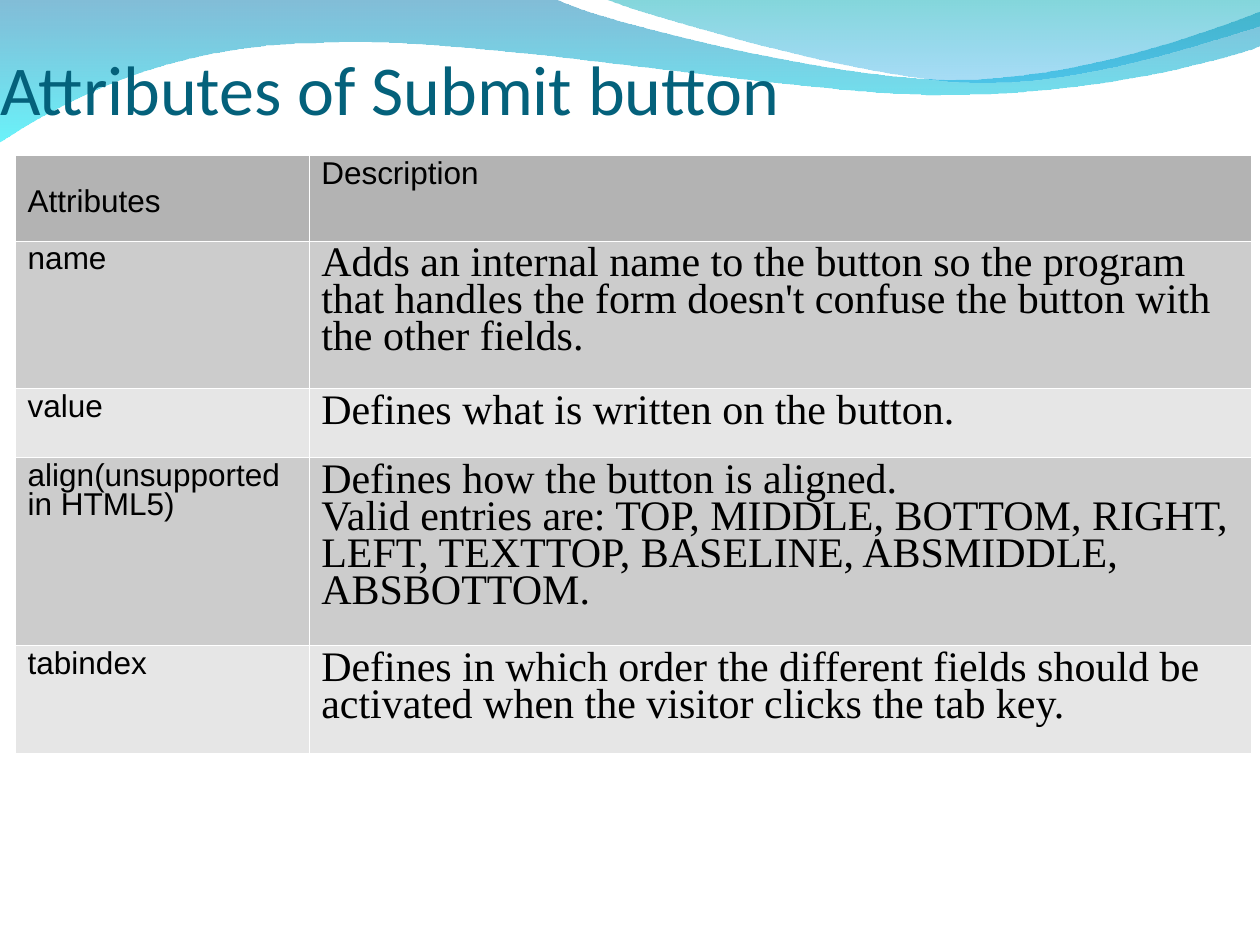
"""Build the slide listing the attributes of a submit button."""
import copy
from dataclasses import dataclass

import lxml.etree
import pptx
import pptx.dml.color
import pptx.enum.text
import pptx.oxml
import pptx.oxml.ns
import pptx.presentation
import pptx.shapes.autoshape
import pptx.slide
import pptx.table
import pptx.text.text
import pptx.util

Inches = pptx.util.Inches
qualified = pptx.oxml.ns.qn
Point = tuple[float, float]


@dataclass(frozen=True)
class TextStyle:
    """Font, size, colour and line spacing of a text."""

    font: str
    size: float
    color: str
    line_spacing: float = 1.0


@dataclass(frozen=True)
class Theme:
    """Colours and type styles of the slide."""

    title: TextStyle = TextStyle("Calibri", 40, "04617B")
    label: TextStyle = TextStyle("Arial", 18, "000000", 0.81)
    description: TextStyle = TextStyle("Times New Roman", 24, "000000", 0.8)
    header_fill: str = "B3B3B3"
    band_fills: tuple[str, str] = ("CCCCCC", "E6E6E6")
    border: str = "FFFFFF"
    border_width: float = 0.06


@dataclass(frozen=True)
class GradientStop:
    """Colour and opacity in percent at one end of a gradient."""

    color: str
    opacity: int


@dataclass(frozen=True)
class Wave:
    """Outline of a wave: one point makes a line, three a Bezier curve."""

    start: Point
    segments: tuple[tuple[Point, ...], ...]
    stops: tuple[GradientStop, GradientStop]


@dataclass(frozen=True)
class AttributeRow:
    """One table row with its height in inches."""

    label: str
    description: str
    height: float


THEME = Theme()
WAVES = (
    Wave(
        (0, -0.01),
        (
            ((4.4, -0.01),),
            ((4.76, 0.17), (6.64, 0.63), (7.58, 0.63)),
            ((8.53, 0.63), (9.58, 0.26), (10, 0.09)),
            ((10.01, 0.36),),
            ((9.83, 0.44), (8.7, 0.76), (7.46, 0.75)),
            ((6.22, 0.75), (3.82, 0.28), (2.57, 0.34)),
            ((1.29, 0.35), (0.46, 0.83), (-0.01, 1.13)),
        ),
        (GradientStop("0079AF", 49), GradientStop("00EBF8", 59)),
    ),
    Wave(
        (4.79, -0.01),
        (
            ((5.09, 0.11), (6.82, 0.62), (7.69, 0.65)),
            ((8.56, 0.69), (9.61, 0.32), (10, 0.21)),
            ((10, 0),),
        ),
        (GradientStop("00ADB6", 49), GradientStop("009BE5", 34)),
    ),
)
COLUMN_WIDTHS = (2.33, 7.48)
ROWS = (
    AttributeRow("\vAttributes", "Description", 0.68),
    AttributeRow(
        "name",
        "Adds an internal name to the button so the program that handles the form "
        "doesn't confuse the button with the other fields.",
        1.17,
    ),
    AttributeRow("value", "Defines what is written on the button.", 0.55),
    AttributeRow(
        "align(unsupported in HTML5)",
        "Defines how the button is aligned.\n"
        "Valid entries are: TOP, MIDDLE, BOTTOM, RIGHT, LEFT, TEXTTOP, BASELINE, "
        "ABSMIDDLE, ABSBOTTOM.",
        1.49,
    ),
    AttributeRow(
        "tabindex",
        "Defines in which order the different fields should be activated when the "
        "visitor clicks the tab key.",
        0.86,
    ),
)


def rgb(color: str) -> pptx.dml.color.RGBColor:
    """Return the colour for a hexadecimal value."""
    return pptx.dml.color.RGBColor.from_string(color)


def set_text(text_frame: pptx.text.text.TextFrame, text: str, style: TextStyle) -> None:
    """Fill a text frame and format its paragraphs and line breaks."""
    text_frame.text = text
    for paragraph in text_frame.paragraphs:
        paragraph.alignment = pptx.enum.text.PP_ALIGN.LEFT
        paragraph.line_spacing = style.line_spacing
        for run in paragraph.runs:
            run.font.name = style.font
            run.font.size = pptx.util.Pt(style.size)
            run.font.bold = False
            run.font.color.rgb = rgb(style.color)
        for line_break in paragraph._p.findall(qualified("a:br")):
            line_break.append(copy.deepcopy(paragraph.runs[0]._r.rPr))


def bend_segments(shape: pptx.shapes.autoshape.Shape, wave: Wave) -> None:
    """Turn the straight stand-ins of curved segments into Bezier curves."""
    lines = list(shape.element.iter(qualified("a:lnTo")))
    for line, segment in zip(lines, wave.segments):
        if len(segment) == 1:
            continue
        curve = lxml.etree.SubElement(line.getparent(), qualified("a:cubicBezTo"))
        for x, y in segment:
            lxml.etree.SubElement(
                curve, qualified("a:pt"),
                x=str(Inches(x) - shape.left), y=str(Inches(y) - shape.top),
            )
        line.getparent().replace(line, curve)


def add_wave(slide: pptx.slide.Slide, wave: Wave) -> None:
    """Draw a wave with a translucent gradient running downwards."""
    start_x, start_y = wave.start
    builder = slide.shapes.build_freeform(Inches(start_x), Inches(start_y))
    ends = [segment[-1] for segment in wave.segments]
    builder.add_line_segments([(Inches(x), Inches(y)) for x, y in ends], close=True)
    shape = builder.convert_to_shape()
    bend_segments(shape, wave)
    shape.shadow.inherit = False
    shape.line.fill.background()
    shape.fill.gradient()
    shape.fill.gradient_angle = 270
    for gradient_stop, stop in zip(shape.fill.gradient_stops, wave.stops):
        gradient_stop.color.rgb = rgb(stop.color)
    colors = shape.element.spPr.find(qualified("a:gradFill")).iter(qualified("a:srgbClr"))
    for color, stop in zip(colors, wave.stops):
        lxml.etree.SubElement(color, qualified("a:alpha"), val=str(stop.opacity * 1000))


def add_title(slide: pptx.slide.Slide, text: str) -> None:
    """Place the title in front of the waves."""
    title = slide.shapes.title
    title.left, title.top = Inches(0), Inches(0.08)
    title.width, title.height = Inches(10), Inches(0.95)
    frame = title.text_frame
    frame.margin_left = frame.margin_right = frame.margin_bottom = 0
    frame.margin_top = Inches(0.05)
    frame.word_wrap = True
    frame.auto_size = pptx.enum.text.MSO_AUTO_SIZE.NONE
    frame.vertical_anchor = pptx.enum.text.MSO_ANCHOR.BOTTOM
    set_text(frame, text, THEME.title)
    title.element.getparent().append(title.element)


def style_cell(cell: pptx.table._Cell, fill: str) -> None:
    """Give a cell its borders and fill."""
    properties = cell._tc.get_or_add_tcPr()
    width = pptx.util.Pt(THEME.border_width)
    for side in ("lnL", "lnR", "lnT", "lnB"):
        properties.append(pptx.oxml.parse_xml(
            f'<a:{side} {pptx.oxml.ns.nsdecls("a")} w="{width}"><a:solidFill>'
            f'<a:srgbClr val="{THEME.border}"/></a:solidFill></a:{side}>'
        ))
    cell.fill.solid()
    cell.fill.fore_color.rgb = rgb(fill)


def add_attribute_table(slide: pptx.slide.Slide, rows: tuple[AttributeRow, ...]) -> None:
    """Draw the table with a header and alternating bands."""
    width, height = sum(COLUMN_WIDTHS), sum(row.height for row in rows)
    table = slide.shapes.add_table(
        len(rows), len(COLUMN_WIDTHS),
        Inches(0.12), Inches(1.23), Inches(width), Inches(height),
    ).table
    table.first_row = table.horz_banding = False
    for column, column_width in zip(table.columns, COLUMN_WIDTHS):
        column.width = Inches(column_width)
    for index, row in enumerate(rows):
        table.rows[index].height = Inches(row.height)
        fill = THEME.band_fills[(index - 1) % 2] if index else THEME.header_fill
        description_style = THEME.description if index else THEME.label
        texts = ((row.label, THEME.label), (row.description, description_style))
        for cell, (text, style) in zip(table.rows[index].cells, texts):
            set_text(cell.text_frame, text, style)
            style_cell(cell, fill)


def main() -> None:
    """Build and save the presentation."""
    presentation = pptx.Presentation()
    presentation.slide_width, presentation.slide_height = Inches(10), Inches(7.5)
    slide = presentation.slides.add_slide(presentation.slide_layouts[5])
    for wave in WAVES:
        add_wave(slide, wave)
    add_title(slide, "Attributes of Submit button")
    add_attribute_table(slide, ROWS)
    presentation.save("out.pptx")


if __name__ == "__main__":
    main()
